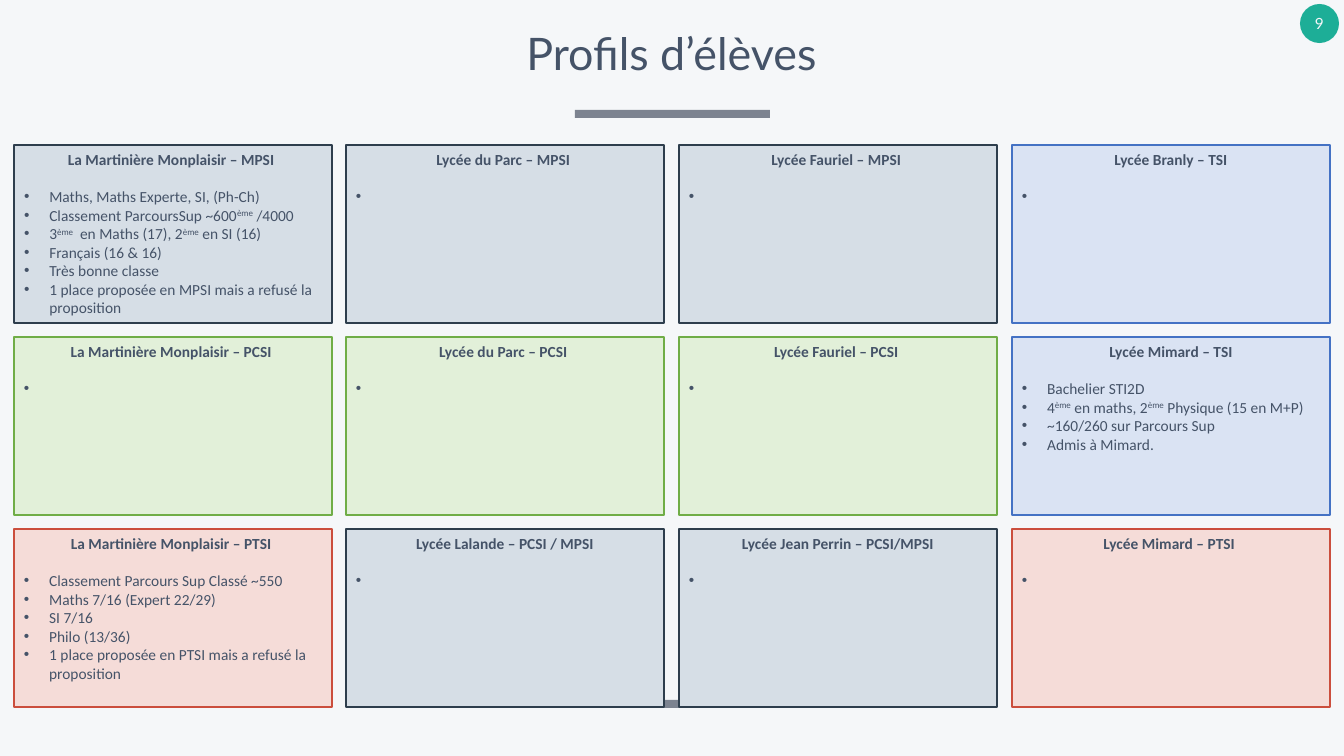
from lxml import etree
from pptx import Presentation
from pptx.dml.color import RGBColor
from pptx.enum.shapes import MSO_SHAPE
from pptx.enum.text import MSO_ANCHOR, MSO_AUTO_SIZE, PP_ALIGN
from pptx.oxml.ns import qn
from pptx.util import Emu, Pt

RECT, OVAL = MSO_SHAPE.RECTANGLE, MSO_SHAPE.OVAL
TOP, MIDDLE = MSO_ANCHOR.TOP, MSO_ANCHOR.MIDDLE
LEFT, CENTER = PP_ALIGN.LEFT, PP_ALIGN.CENTER
NO_FIT = MSO_AUTO_SIZE.NONE

SCALE = 914400 / 100.8
COLORS = {
    "back": "F5F7F9", "text": "455368", "bar": "7C8390", "badge": "1DAE97",
    "slate": "D6DEE6", "slate line": "2E3E4D",
    "green": "E2F0D9", "green line": "70AD47",
    "red": "F5DCD8", "red line": "CB4E3D",
    "blue": "DAE3F3", "blue line": "4472C4",
}

# Rows of cards: heading, tint, list items (^ marks a superscript)
CARDS = [
    [("La Martinière Monplaisir – MPSI ", "slate", [
        "Maths, Maths Experte, SI, (Ph-Ch)",
        "Classement ParcoursSup ~600^ème^ /4000",
        "3^ème^  en Maths (17), 2^ème^ en SI (16)",
        "Français (16 & 16)",
        "Très bonne classe",
        "1 place proposée en MPSI mais a refusé la proposition"]),
     ("Lycée du Parc – MPSI ", "slate", [" "]),
     ("Lycée Fauriel – MPSI ", "slate", [" "]),
     ("Lycée Branly – TSI", "blue", [" "])],
    [("La Martinière Monplaisir – PCSI ", "green", [" "]),
     ("Lycée du Parc – PCSI ", "green", [" "]),
     ("Lycée Fauriel – PCSI ", "green", [" "]),
     ("Lycée Mimard – TSI", "blue", [
         "Bachelier STI2D",
         "4^ème^ en maths, 2^ème^ Physique (15 en M+P)",
         "~160/260 sur Parcours Sup",
         "Admis à Mimard."])],
    [("La Martinière Monplaisir – PTSI ", "red", [
        "Classement Parcours Sup Classé ~550",
        "Maths 7/16 (Expert 22/29)",
        "SI 7/16",
        "Philo (13/36)",
        "1 place proposée en PTSI mais a refusé la proposition"]),
     ("Lycée Lalande – PCSI / MPSI", "slate", [" "]),
     ("Lycée Jean Perrin – PCSI/MPSI", "slate", [" "]),
     ("Lycée Mimard – PTSI ", "red", [" "])],
]


def px(n):
    return Emu(round(n * SCALE))


def color(name):
    return RGBColor.from_string(COLORS[name])


class Page:
    def __init__(self, slide):
        self.slide = slide
        fill = slide.background.fill
        fill.solid()
        fill.fore_color.rgb = color("back")

    def place(self, shape, x, y, w, h):
        shape.left, shape.top = px(x), px(y)
        shape.width, shape.height = px(w), px(h)

    def shape(self, kind, box, tint):
        shape = self.slide.shapes.add_shape(kind, *map(px, box))
        shape.shadow.inherit = False
        shape.fill.solid()
        shape.fill.fore_color.rgb = color(tint)
        shape.line.fill.background()
        return shape

    def font(self, para, size, name="Calibri", tint="text", bold=False):
        font = para.font
        font.size, font.name, font.bold = Pt(size), name, bold
        font.color.rgb = color(tint)

    def title(self, text, box):
        shape = self.slide.shapes.title
        self.place(shape, *box)
        frame = shape.text_frame
        frame.text = text
        frame.auto_size, frame.vertical_anchor = NO_FIT, MIDDLE
        para = frame.paragraphs[0]
        para.alignment, para.line_spacing = CENTER, 0.9
        self.font(para, 32, "Lato")

    def badge(self, text, box):
        frame = self.shape(OVAL, box, "badge").text_frame
        frame.margin_left = frame.margin_right = 0
        frame.margin_top = frame.margin_bottom = 0
        frame.word_wrap, frame.vertical_anchor = False, MIDDLE
        frame.text = text
        para = frame.paragraphs[0]
        para.alignment = CENTER
        self.font(para, 11, "Lato", "back")

    def item(self, para, text):
        props = para._p.get_or_add_pPr()
        props.set("marL", "228600")
        props.set("indent", "-228600")
        face = etree.SubElement(props, qn("a:buFont"))
        face.set("typeface", "Arial")
        etree.SubElement(props, qn("a:buChar")).set("char", "•")
        para.alignment = LEFT
        para.space_before, para.line_spacing = Pt(0), 1.0
        self.font(para, 11)
        for i, part in enumerate(text.split("^")):
            run = para.add_run()
            run.text = part
            if i % 2:
                run._r.get_or_add_rPr().set("baseline", "30000")

    def card(self, box, head, tint, items, holder=None):
        shape = holder or self.shape(RECT, box, tint)
        self.place(shape, *box)
        shape.fill.solid()
        shape.fill.fore_color.rgb = color(tint)
        shape.line.color.rgb = color(tint + " line")
        shape.line.width = Pt(1.5)
        frame = shape.text_frame
        frame.word_wrap, frame.auto_size = True, NO_FIT
        frame.vertical_anchor = TOP
        frame.text = head
        para = frame.paragraphs[0]
        props = para._p.get_or_add_pPr()
        props.set("marL", "0")
        props.set("indent", "0")
        etree.SubElement(props, qn("a:buNone"))
        para.alignment, para.line_spacing = CENTER, 1.0
        para.space_before, para.space_after = Pt(0), Pt(13.4)
        self.font(para, 11, bold=True)
        for text in items:
            self.item(frame.add_paragraph(), text)


def main():
    deck = Presentation()
    deck.slide_width, deck.slide_height = px(1344), px(756)
    slide = deck.slides.add_slide(deck.slide_layouts[1])
    page = Page(slide)

    # Number, bars and title
    page.badge("9", (1300, 4, 39, 39))
    for y in (110, 700):
        page.shape(RECT, (575, y, 195, 8), "bar")
    page.title("Profils d’élèves", (43, 0, 1257, 113))

    # Grid of cards, the first one in the body placeholder
    holder = slide.placeholders[1]
    for r, row in enumerate(CARDS):
        for c, (head, tint, items) in enumerate(row):
            box = (14 + 998 * c // 3, 145 + 192 * r, 318, 178)
            page.card(box, head, tint, items, holder)
            holder = None

    deck.save("out.pptx")


if __name__ == "__main__":
    main()
